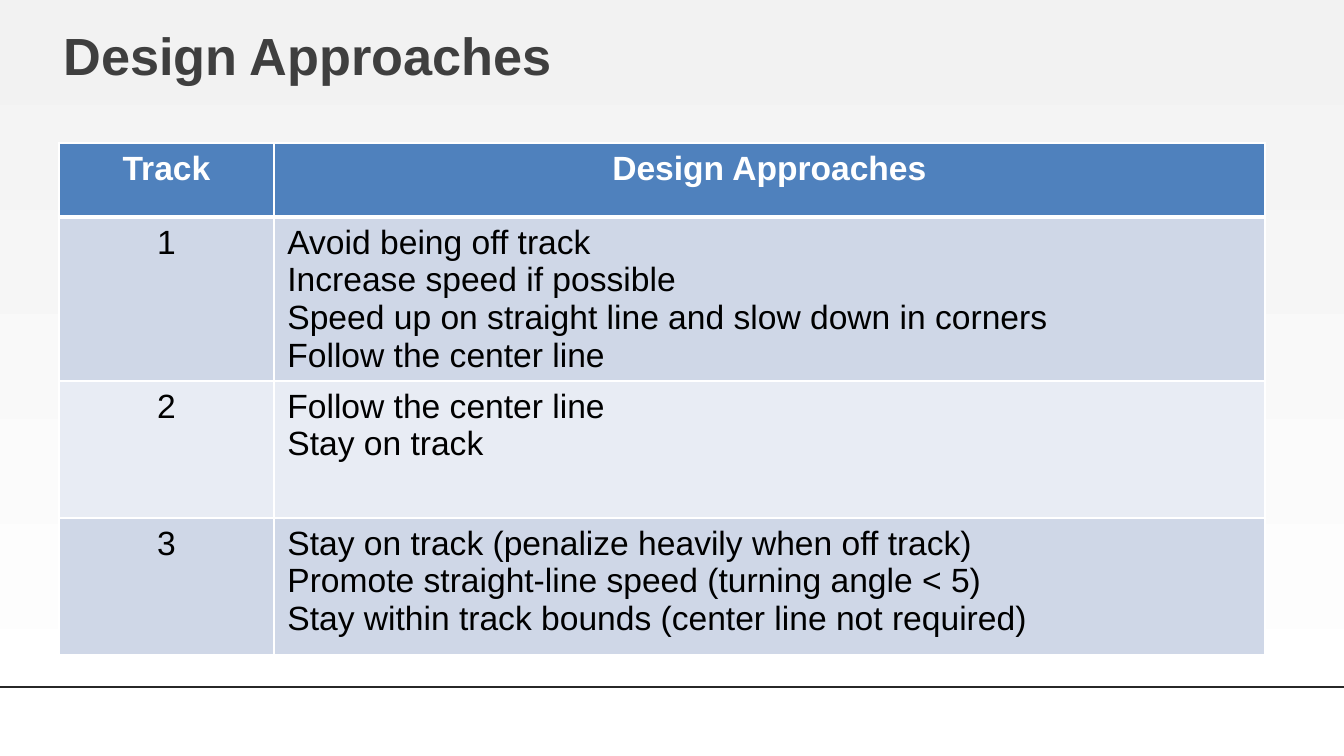
"""Build the Design Approaches slide: a title, a table of tracks and a footer rule."""
import pptx
import pptx.dml.color
import pptx.enum.shapes
import pptx.enum.text
import pptx.oxml
import pptx.oxml.ns
import pptx.util

RGBColor = pptx.dml.color.RGBColor
WHITE = RGBColor(0xFF, 0xFF, 0xFF)
BLACK = RGBColor(0x00, 0x00, 0x00)
PALE_GRAY = RGBColor(0xF2, 0xF2, 0xF2)
TITLE_GRAY = RGBColor(0x3F, 0x3F, 0x3F)
RULE_GRAY = RGBColor(0x27, 0x27, 0x27)
HEADER_BLUE = RGBColor(0x4F, 0x81, 0xBD)
BAND_COLORS = [RGBColor(0xE8, 0xEC, 0xF4), RGBColor(0xCF, 0xD7, 0xE7)]

TITLE = "Design Approaches"
ROWS = [
    ("Track", ["Design Approaches"]),
    ("1", [
        "Avoid being off track",
        "Increase speed if possible",
        "Speed up on straight line and slow down in corners",
        "Follow the center line",
    ]),
    ("2", ["Follow the center line", "Stay on track"]),
    ("3", [
        "Stay on track (penalize heavily when off track)",
        "Promote straight-line speed (turning angle < 5)",
        "Stay within track bounds (center line not required)",
    ]),
]

SLIDE_SIZE = (1344, 756)
TITLE_BOX = (50, 17, 1206, 126)
TABLE_ORIGIN = (59, 143)
COLUMN_WIDTHS = [215, 991]
ROW_HEIGHTS = [74, 164, 137, 137]
RULE_ENDS = (-12, 687, 1365, 687)

TITLE_FONT = {"name": "Arial", "size": pptx.util.Pt(28), "bold": True}
HEADER_FONT = {"name": "Arial", "size": pptx.util.Pt(18), "bold": True}
BODY_FONT = {**HEADER_FONT, "bold": False}


def px(length):
    return round(length * 914400 / 134.4)


def format_text(text_frame, font_format, color, alignment):
    for paragraph in text_frame.paragraphs:
        paragraph.alignment = alignment
        for name, value in font_format.items():
            setattr(paragraph.font, name, value)
        paragraph.font.color.rgb = color


def add_border(cell, side, points):
    cell_properties = cell._tc.get_or_add_tcPr()
    cell_properties.append(pptx.oxml.parse_xml(
        f'<a:ln{side} {pptx.oxml.ns.nsdecls("a")} w="{pptx.util.Pt(points)}">'
        f'<a:solidFill><a:srgbClr val="{WHITE}"/></a:solidFill></a:ln{side}>'
    ))


def set_background(slide):
    fill = slide.background.fill
    fill.gradient()
    fill.gradient_angle = 90
    for stop, position, color in zip(fill.gradient_stops, (0.03, 1), (WHITE, PALE_GRAY)):
        stop.position = position
        stop.color.rgb = color


def add_rule(slide):
    rule = slide.shapes.add_connector(
        pptx.enum.shapes.MSO_CONNECTOR.STRAIGHT, *map(px, RULE_ENDS))
    rule.line.color.rgb = RULE_GRAY
    rule.line.width = pptx.util.Pt(0.75)
    rule._element.spPr.append(
        pptx.oxml.parse_xml(f'<a:effectLst {pptx.oxml.ns.nsdecls("a")}/>'))


def set_title(slide):
    title = slide.shapes.title
    title.left, title.top, title.width, title.height = map(px, TITLE_BOX)
    text_frame = title.text_frame
    text_frame.text = TITLE
    text_frame.auto_size = pptx.enum.text.MSO_AUTO_SIZE.NONE
    text_frame.vertical_anchor = pptx.enum.text.MSO_ANCHOR.TOP
    format_text(text_frame, TITLE_FONT, TITLE_GRAY, pptx.enum.text.PP_ALIGN.LEFT)


def add_track_table(slide):
    size = (sum(COLUMN_WIDTHS), sum(ROW_HEIGHTS))
    table = slide.shapes.add_table(
        len(ROWS), len(COLUMN_WIDTHS), *map(px, TABLE_ORIGIN + size)).table
    for column, width in zip(table.columns, COLUMN_WIDTHS):
        column.width = px(width)
    for row, height in zip(table.rows, ROW_HEIGHTS):
        row.height = px(height)
    for row_index, (track, approaches) in enumerate(ROWS):
        is_header = row_index == 0
        for column_index, text in enumerate((track, "\n".join(approaches))):
            cell = table.cell(row_index, column_index)
            cell.text_frame.text = text
            centered = is_header or column_index == 0
            format_text(
                cell.text_frame,
                HEADER_FONT if is_header else BODY_FONT,
                WHITE if is_header else BLACK,
                pptx.enum.text.PP_ALIGN.CENTER if centered else pptx.enum.text.PP_ALIGN.LEFT,
            )
            borders = {"L": 1, "R": 1, "T": 3 if row_index == 1 else 1, "B": 3 if is_header else 1}
            for side, points in borders.items():
                add_border(cell, side, points)
            cell.fill.solid()
            cell.fill.fore_color.rgb = HEADER_BLUE if is_header else BAND_COLORS[row_index % 2]


def main():
    presentation = pptx.Presentation()
    presentation.slide_width, presentation.slide_height = map(px, SLIDE_SIZE)
    slide = presentation.slides.add_slide(presentation.slide_layouts[5])
    set_background(slide)
    add_rule(slide)
    set_title(slide)
    add_track_table(slide)
    presentation.save("out.pptx")


if __name__ == "__main__":
    main()
